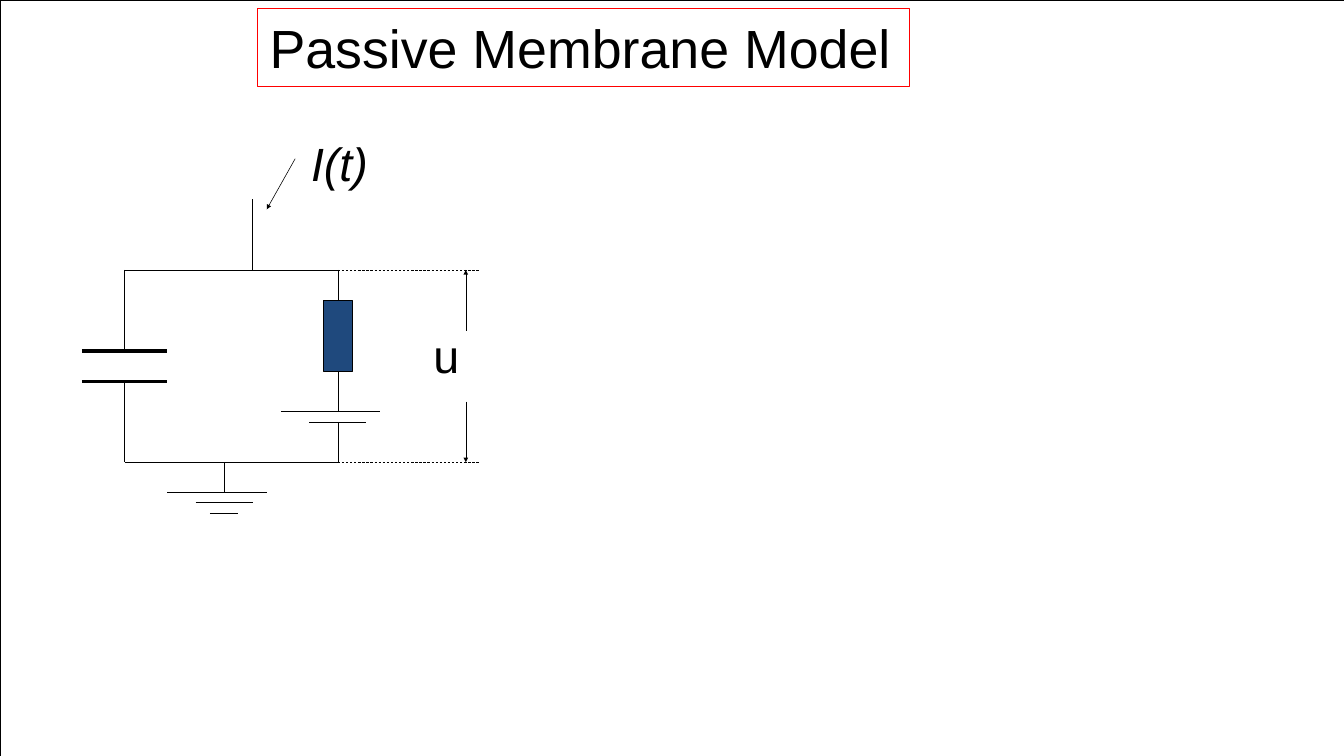
from lxml import etree
from pptx import Presentation, util as u
from pptx.dml.color import RGBColor
from pptx.enum import dml, shapes, text
from pptx.oxml import ns

WIDTH, HEIGHT = 23.63, 13.29
BLACK, RED, BLUE = "000000", "FF0000", "1F497D"
# Circuit grid: 24 columns span 6 inches, 19 rows separate the two rails
LEFT, TOP = 0.19, 2.79
COLUMN, ROW = 6 / 24, 3.38 / 19

presentation = Presentation()
presentation.slide_width, presentation.slide_height = u.Inches(WIDTH), u.Inches(HEIGHT)
slide = presentation.slides.add_slide(presentation.slide_layouts[6])


def paint(shape, fill=None, line=None):
    """Colour a shape; None leaves that part empty."""
    shape.shadow.inherit = False
    for part, colour in ((shape.fill, fill), (shape.line.fill, line)):
        if colour:
            part.solid()
            part.fore_color.rgb = RGBColor.from_string(colour)
        else:
            part.background()
    if line:
        shape.line.width = u.Pt(0.75)


def write(shape, words, size, italic=False):
    """Put one unwrapped run of text in a shape."""
    frame = shape.text_frame
    frame.word_wrap = False
    frame.auto_size = text.MSO_AUTO_SIZE.SHAPE_TO_FIT_TEXT
    frame.vertical_anchor = text.MSO_ANCHOR.TOP
    paragraph = frame.paragraphs[0]
    paragraph.alignment = text.PP_ALIGN.LEFT
    run = paragraph.add_run()
    run.text = words
    run.font.name, run.font.size, run.font.italic = "Arial", u.Pt(size), italic
    run.font.color.rgb = RGBColor.from_string(BLACK)


# Slide border and title
border = slide.shapes.add_shape(shapes.MSO_SHAPE.RECTANGLE, 0, 0,
                                presentation.slide_width, presentation.slide_height)
paint(border, line=BLACK)
title = slide.shapes.add_shape(shapes.MSO_SHAPE.RECTANGLE, u.Inches(4.53), u.Inches(0.15),
                               u.Inches(11.46), u.Inches(1.36))
paint(title, line=RED)
write(title, "Passive Membrane Model", 68)
frame = title.text_frame
frame.margin_left = frame.margin_right = u.Inches(0.21)
frame.margin_top = frame.margin_bottom = u.Inches(0.11)

# Circuit lines: start column, start row, end column, end row, style
circuit = slide.shapes.add_group_shape()
lines = [
    # Input current
    (20, 0, 18, 5, "arrow"), (17, 4, 17, 11, ""),
    # Capacitor branch
    (5, 19, 11, 19, "plate"), (5, 22, 11, 22, "plate"),
    (8, 11, 8, 19, ""), (8, 22, 8, 30, ""),
    # Rails
    (8, 11, 23, 11, ""), (8, 30, 23, 30, ""),
    # Resistor and battery branch
    (23, 11, 23, 19, ""), (23, 21, 23, 25, ""), (19, 25, 26, 25, ""),
    (21, 26, 25, 26, ""), (23, 26, 23, 30, ""),
    # Ground
    (15, 30, 15, 33, ""), (11, 33, 18, 33, ""), (13, 34, 17, 34, ""), (14, 35, 16, 35, ""),
    # Voltage span
    (23, 11, 33, 11, "dash"), (23, 30, 33, 30, "dash"),
    (32, 17, 32, 11, "arrow"), (32, 24, 32, 30, "arrow"),
]
for x1, y1, x2, y2, style in lines:
    connector = circuit.shapes.add_connector(
        shapes.MSO_CONNECTOR.STRAIGHT,
        u.Inches(LEFT + x1 * COLUMN), u.Inches(TOP + y1 * ROW),
        u.Inches(LEFT + x2 * COLUMN), u.Inches(TOP + y2 * ROW))
    connector.line.color.rgb = RGBColor.from_string(BLACK)
    connector.line.width = u.Pt(4.5 if style == "plate" else 0.75)
    if style == "dash":
        connector.line.dash_style = dml.MSO_LINE.DASH
    if style == "arrow":
        etree.SubElement(connector.line._get_or_add_ln(), ns.qn("a:tailEnd"), type="triangle")
    etree.SubElement(connector._element.spPr, ns.qn("a:effectLst"))

# Resistor, two columns by seven rows
resistor = circuit.shapes.add_shape(
    shapes.MSO_SHAPE.RECTANGLE, u.Inches(LEFT + 22 * COLUMN), u.Inches(TOP + 14 * ROW),
    u.Inches(2 * COLUMN), u.Inches(7 * ROW))
paint(resistor, fill=BLUE, line=BLACK)

# Labels
for words, left, top, width, italic in [("I(t)", 5.37, 2.32, 1.26, True),
                                        ("u", 7.52, 5.69, 0.66, False)]:
    label = circuit.shapes.add_textbox(u.Inches(left), u.Inches(top),
                                       u.Inches(width), u.Inches(1.09))
    write(label, words, 59, italic)

presentation.save("out.pptx")
